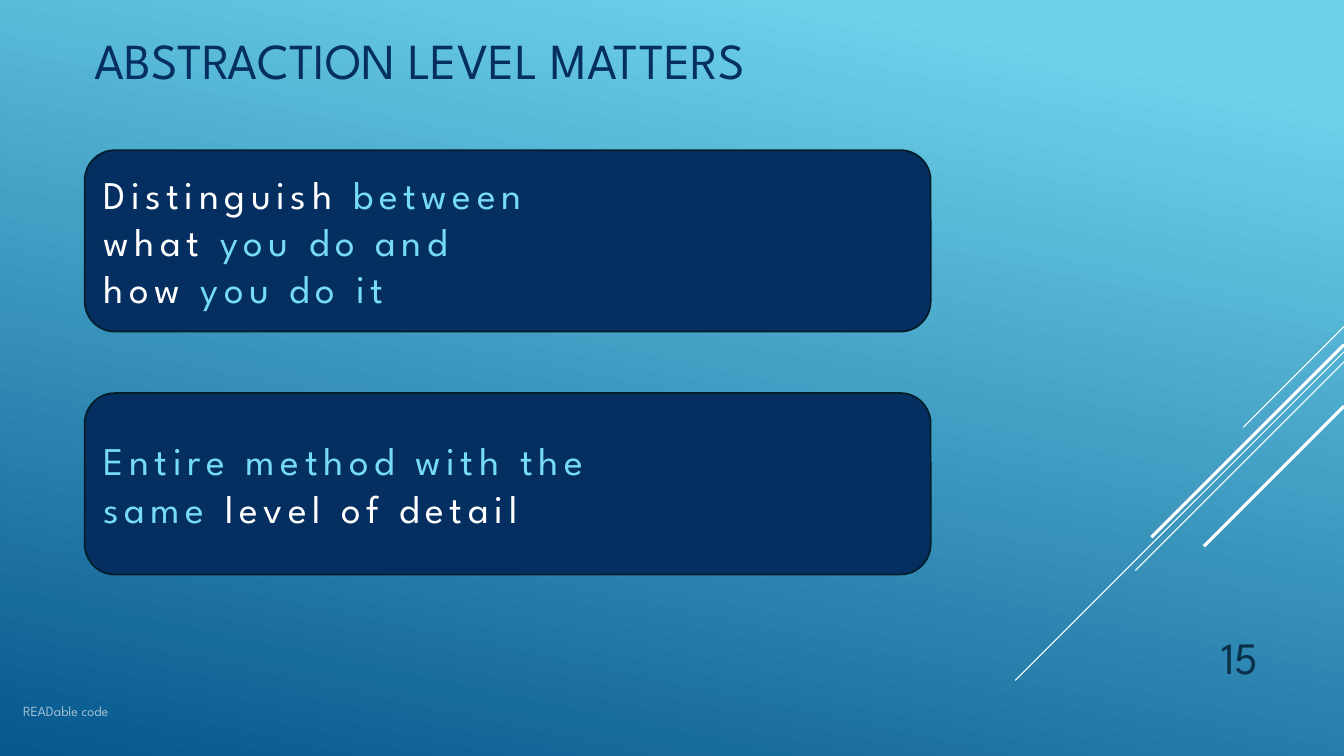
from lxml.etree import SubElement
from pptx import Presentation
from pptx.dml.color import RGBColor
from pptx.enum.shapes import MSO_CONNECTOR, MSO_SHAPE
from pptx.enum.text import MSO_ANCHOR, MSO_AUTO_SIZE, PP_ALIGN
from pptx.oxml.ns import qn
from pptx.util import Inches, Pt

FONT = "League Spartan"
COLORS = {
    "sky": "6ED2EB",
    "ocean": "06588E",
    "navy": "052F61",
    "outline": "021E2B",
    "number": "0A304A",
    "white": "FFFFFF",
    "aqua": "76DBF4",
}
SLIDE_WIDTH = 13.33
# Start height on the right edge, horizontal run, line width in points
RAYS = [
    (3.24, 1.0, 0.75),
    (3.49, 3.26, 0.75),
    (3.59, 2.07, 0.75),
    (3.42, 1.91, 2.25),
    (4.03, 1.39, 2.25),
]
STATEMENTS = [
    (1.49, [
        [("Distinguish", "white"), (" between", "aqua")],
        [("what", "white"), (" you do and", "aqua")],
        [("how", "white"), (" you do it", "aqua")],
    ]),
    (3.9, [
        [("Entire method with the", "aqua")],
        [("same ", "aqua"), ("level of detail", "white")],
    ]),
]


def rgb(name):
    return RGBColor.from_string(COLORS[name])


def write(shape, lines, size, anchor=MSO_ANCHOR.TOP, align=PP_ALIGN.LEFT,
          tracking=None, opacity=None, space_after=None):
    """Fill a shape with lines, each a list of (text, color name) pieces."""
    frame = shape.text_frame
    frame.word_wrap = True
    frame.auto_size = MSO_AUTO_SIZE.NONE
    frame.vertical_anchor = anchor
    for index, pieces in enumerate(lines):
        paragraph = frame.add_paragraph() if index else frame.paragraphs[0]
        paragraph.alignment = align
        if space_after is not None:
            paragraph.space_after = Pt(space_after)
        for text, color in pieces:
            run = paragraph.add_run()
            run.text = text
            run.font.name = FONT
            run.font.size = Pt(size)
            run.font.color.rgb = rgb(color)
            properties = run.font._element
            if tracking is not None:
                properties.set("spc", str(tracking * 100))
            if opacity is not None:
                tint = properties.find(".//" + qn("a:srgbClr"))
                SubElement(tint, qn("a:alpha"), val=str(opacity * 1000))


def paint_background(slide):
    fill = slide.background.fill
    fill.gradient()
    fill.gradient_angle = 258
    for stop, color, position in zip(fill.gradient_stops, ("sky", "ocean"), (0.1, 1)):
        stop.color.rgb = rgb(color)
        stop.position = position


def add_ray(slide, top, run, width):
    """Draw a 45-degree line down and left from the right edge."""
    ray = slide.shapes.add_connector(
        MSO_CONNECTOR.STRAIGHT, Inches(SLIDE_WIDTH), Inches(top),
        Inches(SLIDE_WIDTH - run), Inches(top + run))
    ray.line.color.rgb = rgb("white")
    ray.line.width = Pt(width)
    SubElement(ray._element.spPr, qn("a:effectLst"))


def add_statement(slide, top, lines):
    card = slide.shapes.add_shape(
        MSO_SHAPE.ROUNDED_RECTANGLE,
        Inches(0.84), Inches(top), Inches(8.39), Inches(1.8))
    card.shadow.inherit = False
    card.fill.solid()
    card.fill.fore_color.rgb = rgb("navy")
    card.line.color.rgb = rgb("outline")
    card.line.width = Pt(1.25)
    write(card, lines, 28, anchor=MSO_ANCHOR.MIDDLE, tracking=4)


def add_label(slide, left, top, width, height, text, color, size, **style):
    label = slide.shapes.add_textbox(
        Inches(left), Inches(top), Inches(width), Inches(height))
    write(label, [[(text, color)]], size, **style)


def set_title(slide, text):
    title = slide.shapes.title
    title.left, title.top = Inches(0.84), Inches(-0.01)
    title.width, title.height = Inches(9.33), Inches(1.19)
    write(title, [[(text, "navy")]], 36, anchor=MSO_ANCHOR.MIDDLE)


def main():
    deck = Presentation()
    deck.slide_width = Inches(SLIDE_WIDTH)
    deck.slide_height = Inches(7.5)
    slide = deck.slides.add_slide(deck.slide_layouts[5])

    paint_background(slide)
    for ray in RAYS:
        add_ray(slide, *ray)
    set_title(slide, "ABSTRACTION LEVEL MATTERS")
    for top, lines in STATEMENTS:
        add_statement(slide, top, lines)
    add_label(slide, 11.33, 6.1, 1.25, 0.73, "15", "number", 32,
              anchor=MSO_ANCHOR.BOTTOM, align=PP_ALIGN.RIGHT, space_after=6)
    add_label(slide, 0.13, 6.92, 8.25, 0.4, "READable code", "white", 10, opacity=60)

    deck.save("out.pptx")


if __name__ == "__main__":
    main()
